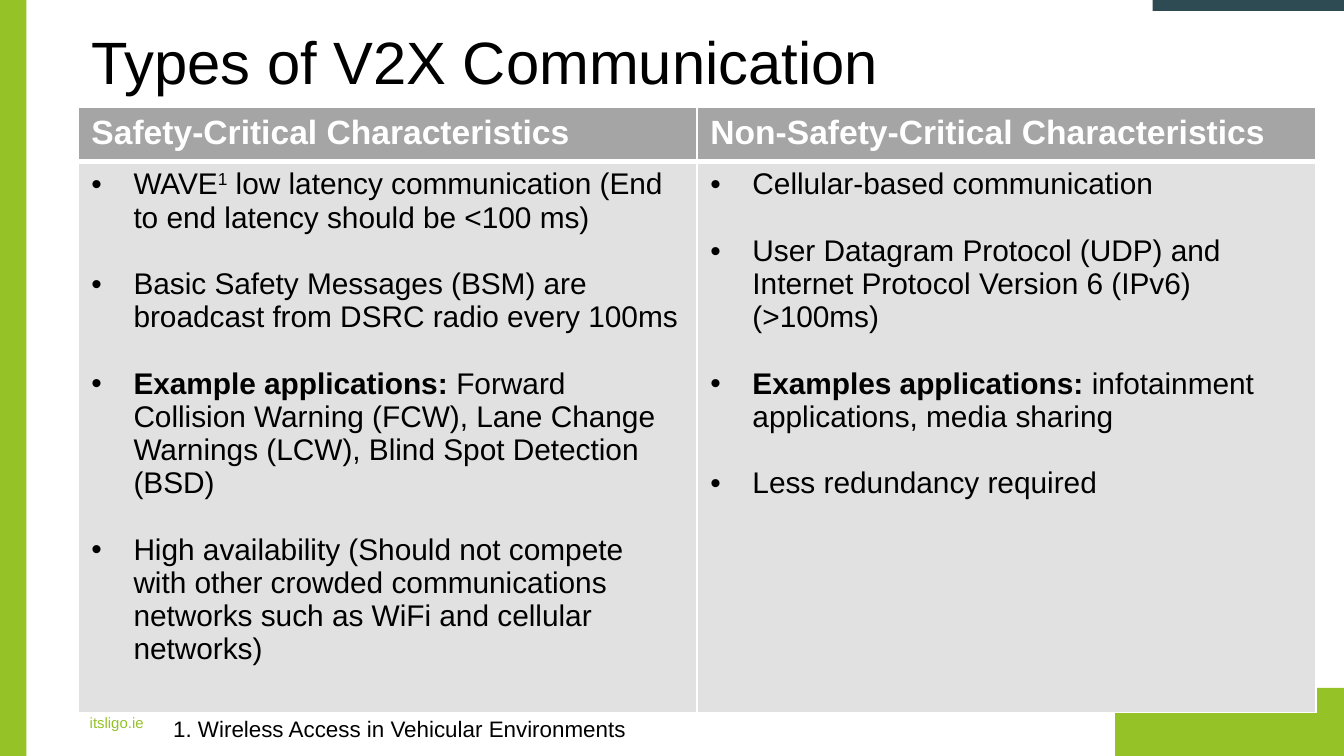
from lxml import etree
from pptx import Presentation
from pptx import util as u
from pptx.dml.color import RGBColor
from pptx.enum import shapes, text
from pptx.oxml import ns

Pt = u.Pt
HEX = {"lime": "94C227", "slate": "2E4B53", "head": "A5A5A5",
       "body": "E1E1E1", "white": "FFFFFF", "black": "000000"}

HEADS = ["Safety-Critical Characteristics", "Non-Safety-Critical Characteristics"]

# Each item is a list of (words, style) runs.
LEFT = [
    [("WAVE", ""), ("1", "super"),
     (" low latency communication (End to end latency should be <100 ms)", "")],
    [("Basic Safety Messages (BSM) are broadcast from DSRC radio every 100ms", "")],
    [("Example applications: ", "bold"),
     ("Forward Collision Warning (FCW), Lane Change Warnings (LCW), "
      "Blind Spot Detection (BSD)", "")],
    [("High availability (Should not compete with other crowded communications "
      "networks such as WiFi and cellular networks)", "")],
]
RIGHT = [
    [("Cellular-based communication", "")],
    [("User Datagram Protocol (UDP) and Internet Protocol Version 6 (IPv6) (>100ms)", "")],
    [("Examples applications: ", "bold"),
     ("infotainment applications, media sharing", "")],
    [("Less redundancy required", "")],
]


def color(name):
    return RGBColor.from_string(HEX[name])


def add_run(para, words, size, hue, style=""):
    run = para.add_run()
    run.text = words
    form = {"name": "Arial", "size": Pt(size), "bold": style == "bold"}
    for key, val in form.items():
        setattr(run.font, key, val)
    run.font.color.rgb = color(hue)
    if style == "super":
        run.font._element.set("baseline", "30000")


def add_bar(slide, box, hue):
    bar = slide.shapes.add_shape(shapes.MSO_SHAPE.RECTANGLE, *map(Pt, box))
    bar.shadow.inherit = False
    bar.fill.solid()
    bar.fill.fore_color.rgb = color(hue)
    bar.line.fill.background()


def add_label(slide, box, words, size, hue, wrap=False):
    frame = slide.shapes.add_textbox(*map(Pt, box)).text_frame
    form = {"word_wrap": wrap, "vertical_anchor": text.MSO_ANCHOR.BOTTOM}
    for key, val in form.items():
        setattr(frame, key, val)
    add_run(frame.paragraphs[0], words, size, hue)


def add_edges(cell, widths):
    """Draw white borders; widths maps a side (L, R, T, B) to points."""
    props = cell._tc.get_or_add_tcPr()
    for spot, (side, width) in enumerate(widths.items()):
        line = etree.Element(ns.qn(f"a:ln{side}"), w=str(Pt(width)))
        fill = etree.SubElement(line, ns.qn("a:solidFill"))
        etree.SubElement(fill, ns.qn("a:srgbClr"), val=HEX["white"])
        props.insert(spot, line)


def paint(cell, hue, widths):
    cell.fill.solid()
    cell.fill.fore_color.rgb = color(hue)
    add_edges(cell, widths)


def add_bullet(para):
    props = para._p.get_or_add_pPr()
    props.set("marL", str(Pt(22.5)))
    props.set("indent", str(-Pt(22.5)))
    etree.SubElement(props, ns.qn("a:buFont"), typeface="Arial")
    etree.SubElement(props, ns.qn("a:buChar"), char="•")


def add_list(cell, items):
    frame = cell.text_frame
    for num, item in enumerate(items):
        para = frame.add_paragraph() if num else frame.paragraphs[0]
        add_bullet(para)
        if num:
            para.space_before = Pt(17.8)
        for words, style in item:
            add_run(para, words, 16, "black", style)


def add_grid(slide):
    rows = [28.8, 295.2]
    width = 663.2
    box = (41.8, 57.6, width, sum(rows))
    grid = slide.shapes.add_table(2, 2, *map(Pt, box)).table
    for row, tall in zip(grid.rows, rows):
        row.height = Pt(tall)
    for num, (head, items) in enumerate(zip(HEADS, (LEFT, RIGHT))):
        grid.columns[num].width = Pt(width / 2)
        top, body = grid.cell(0, num), grid.cell(1, num)
        paint(top, "head", {"L": 1, "R": 1, "T": 1, "B": 3})
        paint(body, "body", {"L": 1, "R": 1, "T": 3, "B": 1})
        add_run(top.text_frame.paragraphs[0], head, 18, "white", "bold")
        add_list(body, items)


def main():
    deck = Presentation()
    deck.slide_width, deck.slide_height = Pt(720), Pt(405)
    slide = deck.slides.add_slide(deck.slide_layouts[6])
    add_bar(slide, (0, 0, 14.2, 405), "lime")
    add_bar(slide, (597.4, 368.6, 122.6, 36.4), "lime")
    add_label(slide, (41, 378, 44, 17.3), "itsligo.ie", 8, "lime")
    add_bar(slide, (617.5, 0, 102.5, 5.8), "slate")
    add_label(slide, (41.8, 9.4, 623.5, 46), "Types of V2X Communication",
              32, "black", wrap=True)
    add_grid(slide)
    add_label(slide, (85.7, 379.4, 259.2, 21.6),
              "1. Wireless Access in Vehicular Environments", 12, "black")
    deck.save("out.pptx")


if __name__ == "__main__":
    main()
